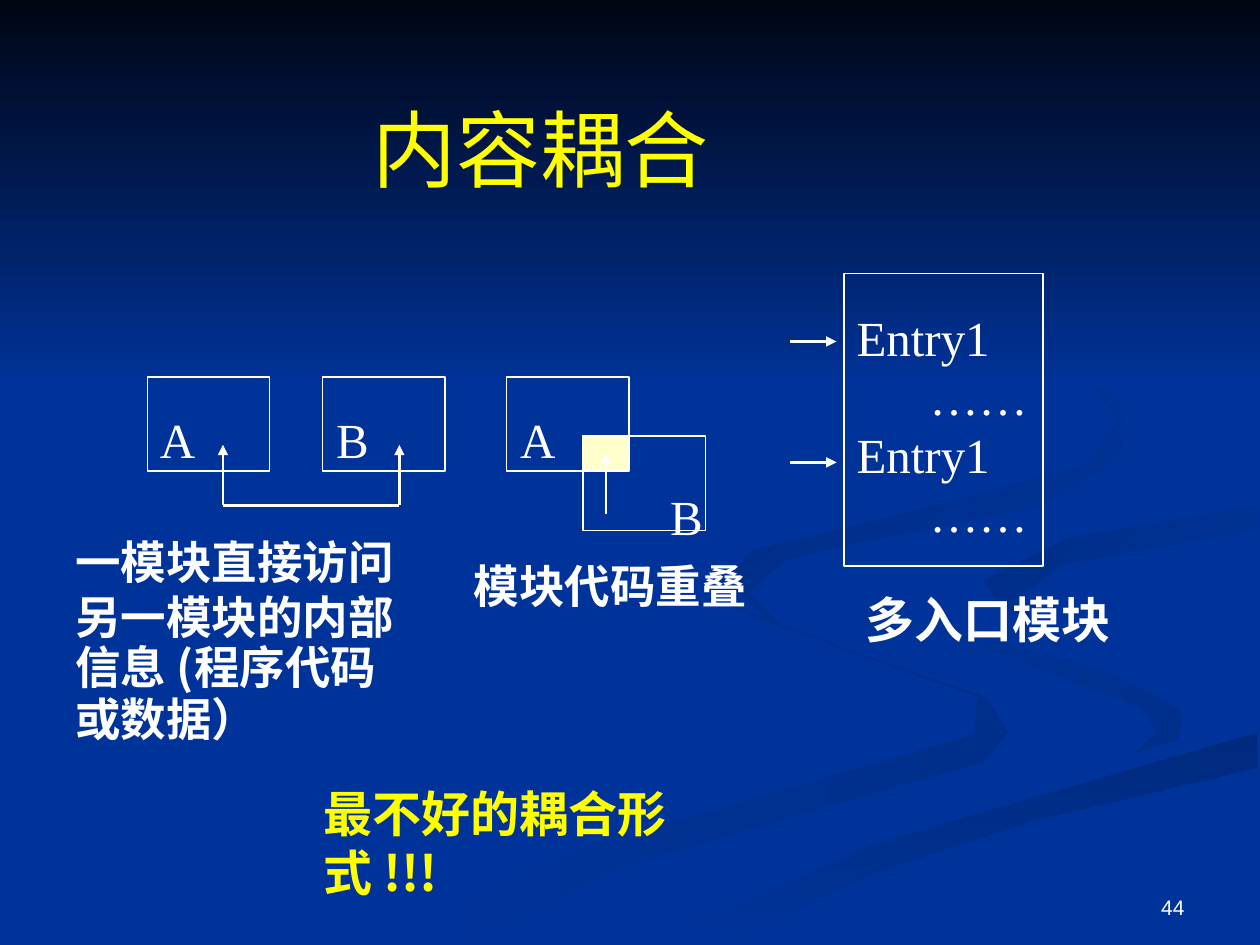
"""Builds the slide on content coupling between modules."""
from lxml import etree
from pptx import Presentation, util as u
from pptx.dml.color import RGBColor
from pptx.enum import shapes, text
from pptx.oxml.ns import qn

PX = 9144
WIDTH, HEIGHT = 1000, 750
WHITE = RGBColor(0xFF, 0xFF, 0xFF)
YELLOW = RGBColor(0xFF, 0xFF, 0x00)
CREAM = RGBColor(0xFF, 0xFF, 0xCC)
BLUE = RGBColor(0x00, 0x33, 0x99)
NIGHT = RGBColor(0x00, 0x05, 0x14)
DEEP = RGBColor(0x00, 0x2E, 0x8B)
SHADE = RGBColor(0x00, 0x2A, 0x7D)
DUSK = RGBColor(0x00, 0x2D, 0x86)
DIM = RGBColor(0x00, 0x2B, 0x82)
SANS, SERIF, ARIAL = "Noto Sans CJK SC", "Times New Roman", "Arial"
LEFT, CENTER, RIGHT = text.PP_ALIGN.LEFT, text.PP_ALIGN.CENTER, text.PP_ALIGN.RIGHT
TOP, MIDDLE, BOTTOM = text.MSO_ANCHOR.TOP, text.MSO_ANCHOR.MIDDLE, text.MSO_ANCHOR.BOTTOM

RIBBONS = [
    (BLUE, DEEP, 0, [
        (781, 553), (682, 519), (594, 485), (575, 459), (581, 483), (697, 525),
        (776, 553), (774, 583), (616, 629), (458, 674), (300, 749), (361, 749),
        (499, 687), (676, 634), (780, 605), (800, 581)]),
    (BLUE, DEEP, 45, [
        (943, 570), (905, 540), (792, 509), (733, 483), (724, 464), (746, 500),
        (838, 536), (907, 562), (918, 581), (894, 605), (932, 589)]),
    (SHADE, BLUE, 90, [
        (503, 749), (571, 749), (695, 692), (821, 651), (998, 609), (998, 581),
        (764, 647), (630, 693)]),
    (BLUE, BLUE, 0, [
        (725, 464), (745, 490), (871, 530), (939, 562), (936, 587), (780, 634),
        (619, 684), (477, 749), (519, 747), (696, 669), (999, 581), (999, 538),
        (848, 503), (781, 463), (835, 430), (999, 402), (999, 387), (770, 427)]),
    (DUSK, BLUE, 45, [
        (781, 460), (791, 478), (826, 496), (805, 476), (843, 448), (998, 420),
        (998, 402), (849, 427)]),
    (DIM, BLUE, 45, [
        (683, 430), (825, 402), (889, 362), (890, 324), (843, 275), (762, 233),
        (846, 279), (889, 335), (861, 370), (733, 404), (597, 437), (577, 462),
        (622, 500), (593, 470), (624, 444)]),
]
NIGHT_SKY = (0, 0, WIDTH, 308)

MODULE = (97, 75)
MODULES = [(117, 299), (256, 299), (402, 299), (463, 346)]
OVERLAP = (463, 346, 36, 27)
ENTRIES = (670, 217, 158, 232)

UP_ARROWS = [(177, 401), (317, 401), (481, 408)]
ENTRY_ARROWS = [(627, 271), (627, 367)]
RISE, RUN = 48, 37

NAMES = [("A", 117, 320), ("B", 257, 320), ("A", 403, 320), ("B", 522, 381)]
NAME_SIZE = (48, 57)
DOTS_INDENT = 58

TITLE = ((103, 80, 652, 75), ["内容耦合"], 48, SANS, YELLOW)
NUMBER = ((717, 683, 233, 52), ["44"], 12, ARIAL, WHITE)
CAPTIONS = [
    ((50, 419, 317, 179), ["一模块直接访问", "另一模块的内部", "信息 (程序代码", "或数据）"],
     26, SANS, WHITE),
    ((247, 617, 382, 52), ["最不好的耦合形式 !!!"], 28, SANS, YELLOW),
    ((366, 438, 259, 54), ["模块代码重叠"], 26, SANS, WHITE),
    ((677, 463, 220, 57), ["多入口模块"], 28, SANS, WHITE),
]
ENTRY_LIST = ((670, 239, 157, 197), ["Entry1", "……"] * 2, 28, SERIF, WHITE)


def emu(lengths):
    return [n * PX for n in lengths]


def shade(sp, start, end, angle):
    sp.shadow.inherit = False
    sp.line.fill.background()
    if start == end:
        sp.fill.solid()
        sp.fill.fore_color.rgb = start
        return
    sp.fill.gradient()
    sp.fill.gradient_angle = (360 - angle) % 360
    for position, (stop, color) in enumerate(zip(sp.fill.gradient_stops, (start, end))):
        stop.color.rgb = color
        stop.position = position


def add_rectangle(s, place):
    return s.shapes.add_shape(shapes.MSO_SHAPE.RECTANGLE, *emu(place))


def add_backdrop(s):
    for start, end, angle, points in RIBBONS:
        builder = s.shapes.build_freeform(*points[0], scale=PX)
        builder.add_line_segments(points[1:], close=True)
        shade(builder.convert_to_shape(), start, end, angle)
    shade(add_rectangle(s, NIGHT_SKY), NIGHT, BLUE, 90)


def add_box(s, place, fill=None):
    sp = add_rectangle(s, place)
    sp.shadow.inherit = False
    sp.line.color.rgb = WHITE
    sp.line.width = u.Pt(1)
    if fill is None:
        sp.fill.background()
    else:
        sp.fill.solid()
        sp.fill.fore_color.rgb = fill


def add_line(s, ends, arrow=True):
    line = s.shapes.add_connector(shapes.MSO_CONNECTOR.STRAIGHT, *emu(ends))
    line.line.color.rgb = WHITE
    line.line.width = u.Pt(1.5)
    if arrow:
        etree.SubElement(line.line._get_or_add_ln(), qn("a:tailEnd"), type="triangle")
    etree.SubElement(line._element.spPr, qn("a:effectLst"))


def write(sp, label, bold=False, align=LEFT, anchor=TOP):
    place, lines, size, font, color = label
    sp.left, sp.top, sp.width, sp.height = emu(place)
    tf = sp.text_frame
    tf.word_wrap = True
    tf.auto_size = text.MSO_AUTO_SIZE.NONE
    tf.vertical_anchor = anchor
    for i, words in enumerate(lines):
        p = tf.add_paragraph() if i else tf.paragraphs[0]
        p.text = words
        p.alignment = align
        p.line_spacing = 0.95 if bold and i > 1 else 1.0
        if words == "……":
            p._p.get_or_add_pPr().set("marL", str(DOTS_INDENT * PX))
        f = p.font
        f.size, f.name, f.bold = u.Pt(size), font, bold
        f.color.rgb = color
        etree.SubElement(p._p.pPr.find(qn("a:defRPr")), qn("a:ea"), typeface=font)


def add_label(s, label, **style):
    write(s.shapes.add_textbox(0, 0, 0, 0), label, **style)


def main():
    prs = Presentation()
    prs.slide_width, prs.slide_height = emu((WIDTH, HEIGHT))
    s = prs.slides.add_slide(prs.slide_layouts[5])
    s.background.fill.solid()
    s.background.fill.fore_color.rgb = BLUE
    add_backdrop(s)
    title = s.shapes.title
    s.shapes._spTree.append(title._element)
    write(title, TITLE, align=CENTER, anchor=MIDDLE)
    add_label(s, NUMBER, align=RIGHT, anchor=BOTTOM)

    for corner in MODULES:
        add_box(s, corner + MODULE)
    add_box(s, OVERLAP, CREAM)
    add_box(s, ENTRIES)
    for x, y in UP_ARROWS:
        add_line(s, (x, y, x, y - RISE))
    for x, y in ENTRY_ARROWS:
        add_line(s, (x, y, x + RUN, y))
    add_line(s, UP_ARROWS[0] + UP_ARROWS[1], arrow=False)

    for name, x, y in NAMES:
        add_label(s, ((x, y) + NAME_SIZE, [name], 28, SERIF, WHITE))
    add_label(s, ENTRY_LIST)
    for caption in CAPTIONS:
        add_label(s, caption, bold=True)
    prs.save("out.pptx")


if __name__ == "__main__":
    main()
